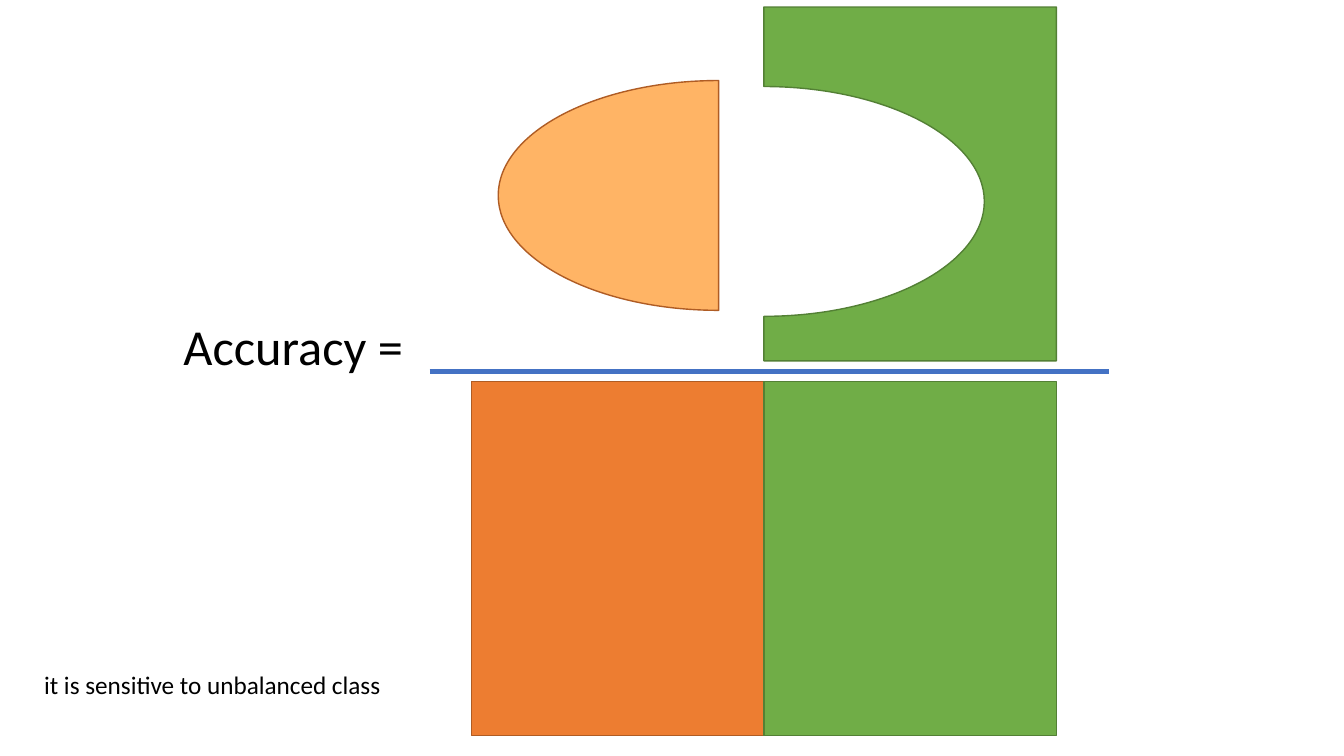
"""Build the accuracy slide: correctly classified areas over all areas."""
from dataclasses import dataclass

from lxml.etree import SubElement
from pptx import Presentation
from pptx.dml.color import RGBColor
from pptx.enum.shapes import MSO_CONNECTOR, MSO_SHAPE
from pptx.enum.text import MSO_ANCHOR, MSO_AUTO_SIZE, PP_ALIGN
from pptx.oxml.ns import qn
from pptx.util import Inches, Pt

WIDTH, HEIGHT = Inches(13.33), Inches(7.5)
COLORS = {
    "bar": "4472C4", "text": "000000", "hit": "FFB465",
    "orange": "ED7D31", "orange edge": "AF5C24",
    "green": "70AD47", "green edge": "538035",
}
FRAME = {
    "word_wrap": False, "auto_size": MSO_AUTO_SIZE.SHAPE_TO_FIT_TEXT,
    "vertical_anchor": MSO_ANCHOR.TOP,
    "margin_left": Inches(0.1), "margin_right": Inches(0.1),
    "margin_top": Inches(0.05), "margin_bottom": Inches(0.05),
}
CLASS_WIDTH, CLASS_HEIGHT = 21.76, 46.8
CLASS_LEFT, CLASS_TOP = 35.08, 50.5
MIDDLE = CLASS_LEFT + CLASS_WIDTH
RADIUS_X, RADIUS_Y = 16.4, 15.2
ARC_PULL = 0.55

Point = tuple[float, float]


@dataclass(frozen=True)
class Label:
    text: str
    left: float
    top: float
    width: float
    height: float
    size: int


@dataclass(frozen=True)
class ClassBlock:
    column: int
    fill: str
    edge: str


@dataclass(frozen=True)
class Region:
    corners: list[Point]
    arc: list[Point]
    fill: str
    edge: str


def across(percent: float) -> int:
    """Turn a percentage of the slide width into a length."""
    return round(WIDTH * percent / 100)


def down(percent: float) -> int:
    """Turn a percentage of the slide height into a length."""
    return round(HEIGHT * percent / 100)


def half_ellipse(center_x: float, center_y: float, side: int) -> list[Point]:
    """Return two Bezier quarters from bottom to top, bulging left (-1) or right (1)."""
    steps = [(0, 1), (ARC_PULL, 1), (1, ARC_PULL), (1, 0),
             (1, -ARC_PULL), (ARC_PULL, -1), (0, -1)]
    return [(center_x + side * RADIUS_X * x, center_y + RADIUS_Y * y) for x, y in steps]


def color(name: str) -> RGBColor:
    """Look up a named colour."""
    return RGBColor.from_string(COLORS[name])


def paint(shape, fill: str, edge: str) -> None:
    """Give a shape a flat fill and a thin edge."""
    shape.shadow.inherit = False
    shape.fill.solid()
    shape.fill.fore_color.rgb = color(fill)
    shape.line.color.rgb = color(edge)
    shape.line.width = Pt(1)


def draw_bar(page) -> None:
    """Draw the fraction bar."""
    bar = page.shapes.add_connector(
        MSO_CONNECTOR.STRAIGHT, across(31.96), down(49.13), across(82.52), down(49.13))
    bar.line.color.rgb = color("bar")
    bar.line.width = Pt(3.5)
    SubElement(bar._element.spPr, qn("a:effectLst"))


def draw_block(page, block: ClassBlock) -> None:
    """Draw one whole class below the bar."""
    box = page.shapes.add_shape(
        MSO_SHAPE.RECTANGLE, across(CLASS_LEFT + block.column * CLASS_WIDTH),
        down(CLASS_TOP), across(CLASS_WIDTH), down(CLASS_HEIGHT))
    paint(box, block.fill, block.edge)


def bend(shape, segment_count: int) -> None:
    """Merge the last straight segments, three at a time, into Bezier curves."""
    segments = list(shape._element.iter(qn("a:lnTo")))[-segment_count:]
    for first in range(0, segment_count, 3):
        start, *others = segments[first:first + 3]
        start.tag = qn("a:cubicBezTo")
        for segment in others:
            start.append(segment[0])
            segment.getparent().remove(segment)


def draw_region(page, region: Region) -> None:
    """Draw one correctly classified area above the bar."""
    start, *rest = [(across(x), down(y)) for x, y in region.corners + region.arc]
    builder = page.shapes.build_freeform(*start)
    builder.add_line_segments(rest, close=True)
    shape = builder.convert_to_shape()
    bend(shape, len(region.arc) - 1)
    paint(shape, region.fill, region.edge)


def write_label(box, label: Label) -> None:
    """Place and format a text shape."""
    place = {"left": across(label.left), "top": down(label.top),
             "width": across(label.width), "height": down(label.height)}
    for name, value in place.items():
        setattr(box, name, value)
    for name, value in FRAME.items():
        setattr(box.text_frame, name, value)
    para = box.text_frame.paragraphs[0]
    para.alignment = PP_ALIGN.LEFT
    span = para.add_run()
    span.text = label.text
    for name, value in {"name": "Calibri", "size": Pt(label.size)}.items():
        setattr(span.font, name, value)
    span.font.color.rgb = color("text")


def main() -> None:
    """Draw and save the slide."""
    deck = Presentation()
    deck.slide_width, deck.slide_height = WIDTH, HEIGHT
    page = deck.slides.add_slide(deck.slide_layouts.get_by_name("Title Only"))
    draw_bar(page)
    write_label(page.shapes.title, Label("Accuracy =", 12.9, 41.07, 18.83, 9.47, 36))

    for block in (ClassBlock(0, "orange", "orange edge"),
                  ClassBlock(1, "green", "green edge")):
        draw_block(page, block)

    top, right = 0.93, MIDDLE + CLASS_WIDTH
    bottom = top + CLASS_HEIGHT
    corners = [(MIDDLE, top), (right, top), (right, bottom), (MIDDLE, bottom)]
    hit_arc = half_ellipse(53.47, 25.85, -1)
    for region in (
        Region(hit_arc[-1:], hit_arc, "hit", "orange edge"),
        Region(corners, half_ellipse(MIDDLE, 26.65, 1), "green", "green edge"),
    ):
        draw_region(page, region)

    note = page.shapes.add_textbox(0, 0, 0, 0)
    write_label(note, Label("it is sensitive to unbalanced class", 2.55, 87.9, 26.86, 5.33, 18))
    deck.save("out.pptx")


if __name__ == "__main__":
    main()
